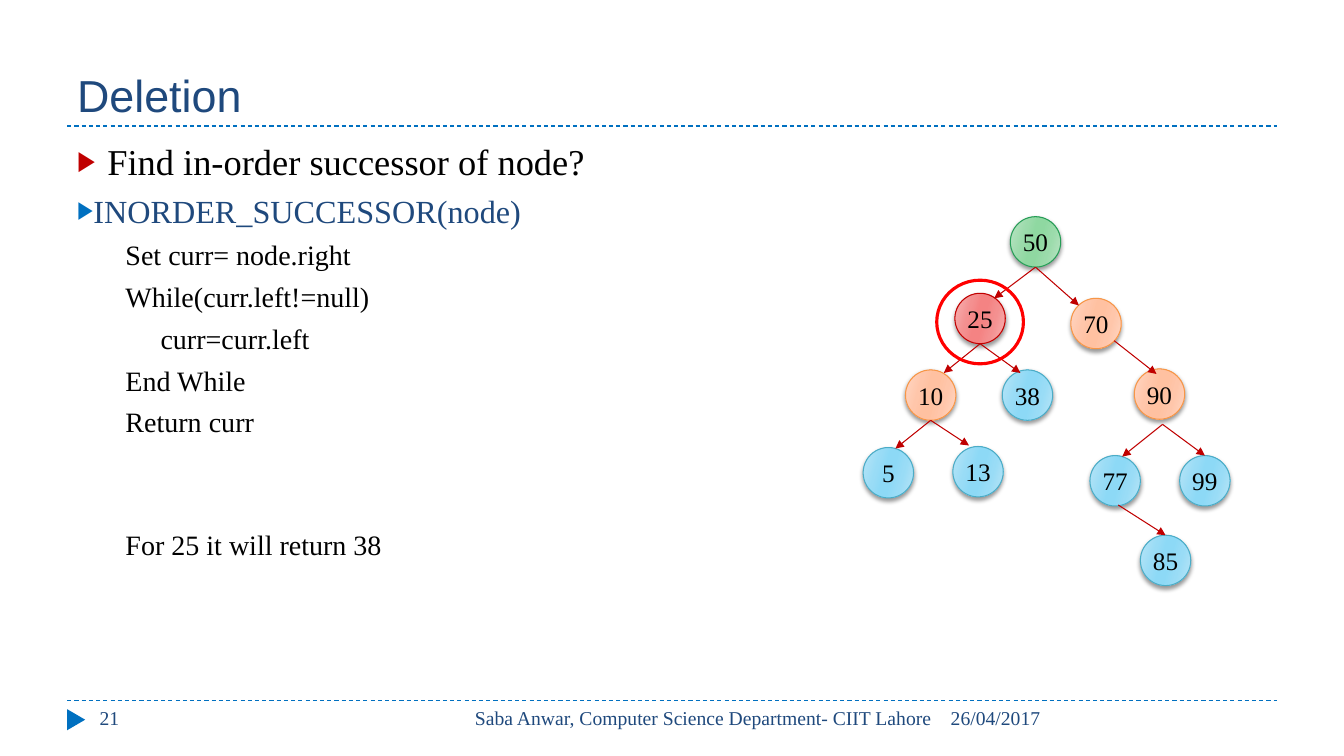
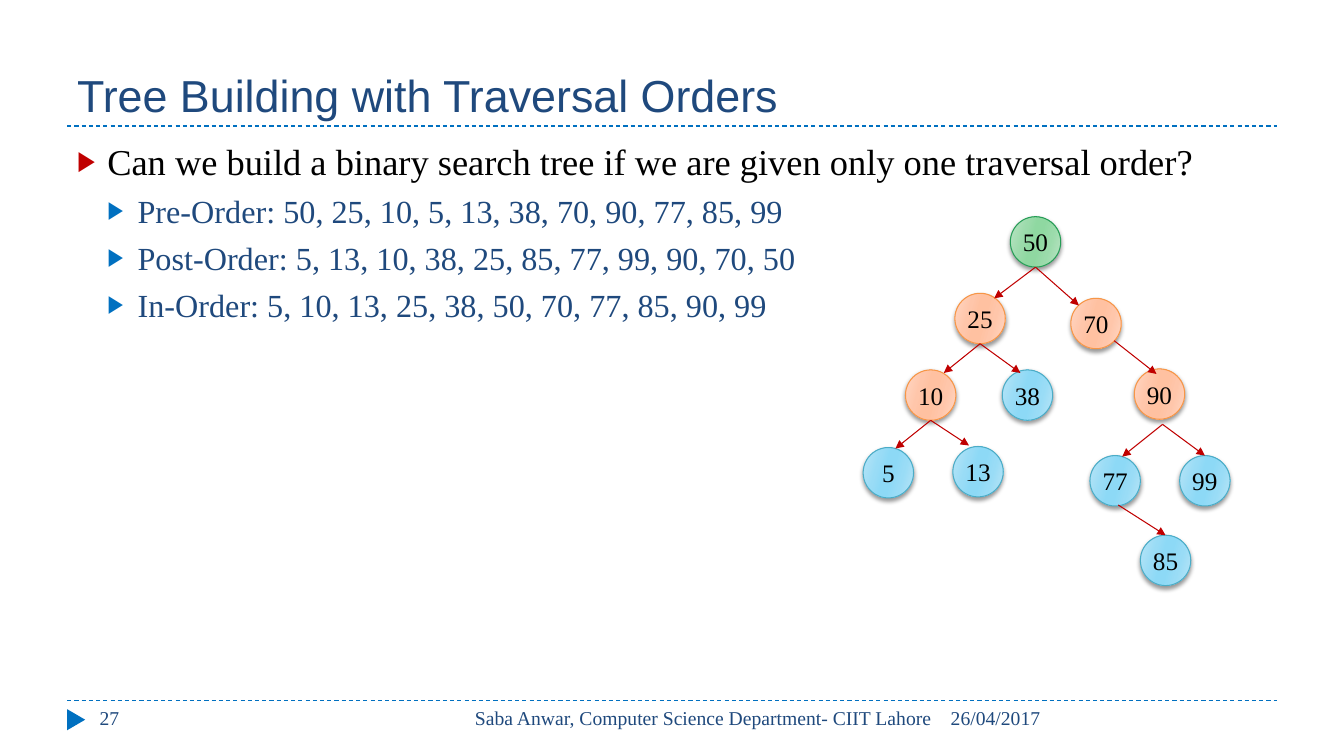
import pptx
import pptx.util
import pptx.dml.color
import pptx.enum.dml
import pptx.enum.shapes
import pptx.enum.text
import pptx.oxml
import pptx.oxml.ns
from lxml import etree

Pt = pptx.util.Pt
SHAPE = pptx.enum.shapes.MSO_SHAPE
ANCHOR = pptx.enum.text.MSO_ANCHOR
ALIGN = pptx.enum.text.PP_ALIGN
qn = pptx.oxml.ns.qn

W, H = pptx.util.Inches(13.33), pptx.util.Inches(7.5)
COL, ROW = W / 40, H / 30

NAVY, BLUE, RED, BLACK, RING = "1F497D", "0070C0", "C00000", "000000", "FF0000"
SERIF, SANS = "Times New Roman", "Arial"
FOOTER = "Saba Anwar, Computer Science Department- CIIT Lahore"
DATE = "26/04/2017"

PALETTES = {
    "sky": ("4BACC6", ("B9E5F7", "99DCF6", "8DD9F6")),
    "peach": ("F79646", ("FFD7C5", "FFC6AA", "FFC1A1")),
    "green": ("279D57", ("BBE4C5", "9BDBAB", "8FD8A1")),
    "red": (RED, ("F6B4B4", "F49090", "F48383")),
}
GRADIENT = ((0, 0), (30, 1), (45, 2), (55, 2), (73, 1), (100, 0))

NODE = (1.5, 2)
NODES = {
    50: (4.38, 0, "green"),
    25: (2.73, 3.04, "peach"),
    70: (6.18, 3.24, "peach"),
    10: (1.26, 6.08, "peach"),
    38: (4.14, 6.08, "sky"),
    90: (8.07, 6.04, "peach"),
    5: (0, 9.16, "sky"),
    13: (2.67, 9.12, "sky"),
    77: (6.75, 9.48, "sky"),
    99: (9.42, 9.48, "sky"),
    85: (8.25, 12.64, "sky"),
}
EDGES = (
    (50, (0.5, 1), 25, (0.78, 0.1)),
    (50, (0.5, 1), 70, (0.16, 0.14)),
    (25, (0.5, 1), 10, (0.76, 0.06)),
    (25, (0.5, 1), 38, (0.36, 0.06)),
    (70, (0.86, 0.84), 90, (0.44, 0.1)),
    (90, (0.56, 1.1), 77, (0.64, 0.02)),
    (90, (0.56, 1.1), 99, (0.5, 0)),
    (10, (0.5, 1), 5, (0.64, 0.02)),
    (10, (0.5, 1), 13, (0.32, -0.02)),
    (77, (0.56, 0.98), 85, (0.5, 0)),
)

HEAD = dict(size=26, left=0.3, hang=0.3, bullet=RED)
ORDER = dict(size=23, color=NAVY, left=0.6, hang=0.3, bullet=BLUE, before=6, level=1)
CALL = dict(ORDER, left=0.07, hang=0.07)
CODE = dict(size=20, left=0.55, hang=0.07, before=5.8, level=2)
RESULT = dict(CODE, before=63.4)


def rgb(value):
    return pptx.dml.color.RGBColor.from_string(value)


def grid(col, row, cols, rows):
    return [round(v) for v in (col * COL, row * ROW, cols * COL, rows * ROW)]


def sub(parent, tag, **attrs):
    return etree.SubElement(parent, qn(tag), attrs)


def write(tf, text, size=14, color=BLACK, font=SERIF, align=None,
          left=0, hang=0, bullet=None, before=0, level=0):
    p = tf.paragraphs[0]
    if p.runs:
        p = tf.add_paragraph()
    p.level = level
    if align is not None:
        p.alignment = align
    if before:
        p.space_before = Pt(before)
    if left:
        pPr = p._p.get_or_add_pPr()
        pPr.set("marL", str(pptx.util.Inches(left)))
        pPr.set("indent", str(-pptx.util.Inches(hang)))
        if bullet:
            sub(sub(pPr, "a:buClr"), "a:srgbClr", val=bullet)
            sub(pPr, "a:buSzPct", val="76000")
            sub(pPr, "a:buFont", typeface=SANS)
            sub(pPr, "a:buChar", char="▶")
        else:
            sub(pPr, "a:buNone")
    r = p.add_run()
    r.text = text
    r.font.size = Pt(size)
    r.font.name = font
    r.font.color.rgb = rgb(color)


def textbox(s, box, lines, anchor=ANCHOR.TOP):
    tf = s.shapes.add_textbox(*grid(*box)).text_frame
    tf.word_wrap = True
    tf.vertical_anchor = anchor
    for text, style in lines:
        write(tf, text, **style)


def line(s, start, end, color, dash=False, arrow=False):
    ends = grid(*start, *end)
    c = s.shapes.add_connector(pptx.enum.shapes.MSO_CONNECTOR.STRAIGHT, *ends)
    c.line.color.rgb = rgb(color)
    c.line.width = Pt(0.75)
    if dash:
        c.line.dash_style = pptx.enum.dml.MSO_LINE.DASH
    if arrow:
        sub(c.line._get_or_add_ln(), "a:tailEnd", type="triangle")
    sub(c._element.spPr, "a:effectLst")


def frame(s, title, number):
    left, right, top, bottom = 2, 38, 5, 27.8
    for row in (bottom, top):
        line(s, (left, row), (right, row), BLUE, dash=True)
    marker = s.shapes.add_shape(SHAPE.ISOSCELES_TRIANGLE,
                                *grid(left - 0.05, bottom + 0.4, 0.63, 0.72))
    marker.rotation = 90
    marker.shadow.inherit = False
    marker.fill.solid()
    marker.fill.fore_color.rgb = rgb(BLUE)
    marker.line.fill.background()
    textbox(s, (left, 0.68, right - left, top - 0.68),
            [(title, dict(size=32, color=NAVY, font=SANS))], ANCHOR.BOTTOM)
    for col, cols, text, align in ((28, 10, DATE, ALIGN.LEFT),
                                   (12.7, 15.33, FOOTER, ALIGN.RIGHT),
                                   (2.67, 8.67, str(number), ALIGN.LEFT)):
        textbox(s, (col, bottom, cols, 1.6), [(text, dict(color=NAVY, align=align))])


def node(s, col, row, label, palette):
    edge, tones = PALETTES[palette]
    sp = s.shapes.add_shape(SHAPE.OVAL, *grid(col, row, *NODE))
    sp.line.color.rgb = rgb(edge)
    sp.line.width = Pt(0.75)
    sp.fill.gradient()
    spPr = sp._element.spPr
    fill = spPr.find(qn("a:gradFill"))
    for child in list(fill):
        fill.remove(child)
    stops = sub(fill, "a:gsLst")
    for pos, tone in GRADIENT:
        sub(sub(stops, "a:gs", pos=str(pos * 1000)), "a:srgbClr", val=tones[tone])
    sub(fill, "a:lin", ang=str(16 * 60000), scaled="0")
    sp.shadow.inherit = False
    shadow = sub(spPr.find(qn("a:effectLst")), "a:outerShdw", blurRad=str(Pt(3)),
                 dist=str(Pt(2)), dir=str(90 * 60000), rotWithShape="0")
    sub(sub(shadow, "a:srgbClr", val=BLACK), "a:alpha", val="40000")
    tf = sp.text_frame
    tf.margin_left = tf.margin_right = 0
    tf.vertical_anchor = ANCHOR.MIDDLE
    write(tf, str(label), size=18, align=ALIGN.CENTER)


def tree(s, col, row, marked=None):
    def point(key, share):
        x, y, _ = NODES[key]
        return (col + x + share[0] * NODE[0], row + y + share[1] * NODE[1])

    for key, (x, y, palette) in NODES.items():
        node(s, col + x, row + y, key, "red" if key == marked else palette)
    for parent, start, child, end in EDGES:
        line(s, point(parent, start), point(child, end), RED, arrow=True)
    if marked is not None:
        ring = s.shapes.add_shape(SHAPE.OVAL, *grid(
            *point(marked, (-0.36, -0.26)), 1.72 * NODE[0], 1.66 * NODE[1]))
        ring.shadow.inherit = False
        ring.fill.background()
        ring.line.color.rgb = rgb(RING)
        ring.line.width = Pt(2.25)


def tree_slide(prs, title, number, lines, marked=None):
    s = prs.slides.add_slide(prs.slide_layouts[6])
    frame(s, title, number)
    textbox(s, (2, 5.32, 36, 21.6), lines)
    tree(s, 25.69, 8.6, marked)


def main():
    prs = pptx.Presentation()
    prs.slide_width, prs.slide_height = W, H
    tree_slide(prs, "Deletion", 21, [
        ("Find in-order successor of node?", HEAD),
        ("INORDER_SUCCESSOR(node)", CALL),
        ("Set curr= node.right", CODE),
        ("While(curr.left!=null)", CODE),
        ("\t    curr=curr.left", CODE),
        ("End While", CODE),
        ("Return curr", CODE),
        ("For 25 it will return 38", RESULT),
    ], marked=25)
    tree_slide(prs, "Tree Building with Traversal Orders", 27, [
        ("Can we build a binary search tree if we are given only one traversal order?", HEAD),
        ("Pre-Order: 50, 25, 10, 5, 13, 38, 70, 90, 77, 85, 99", ORDER),
        ("Post-Order: 5, 13, 10, 38, 25, 85, 77, 99, 90, 70, 50", ORDER),
        ("In-Order: 5, 10, 13, 25, 38, 50, 70, 77, 85, 90, 99", ORDER),
    ])
    prs.save("out.pptx")


if __name__ == "__main__":
    main()
